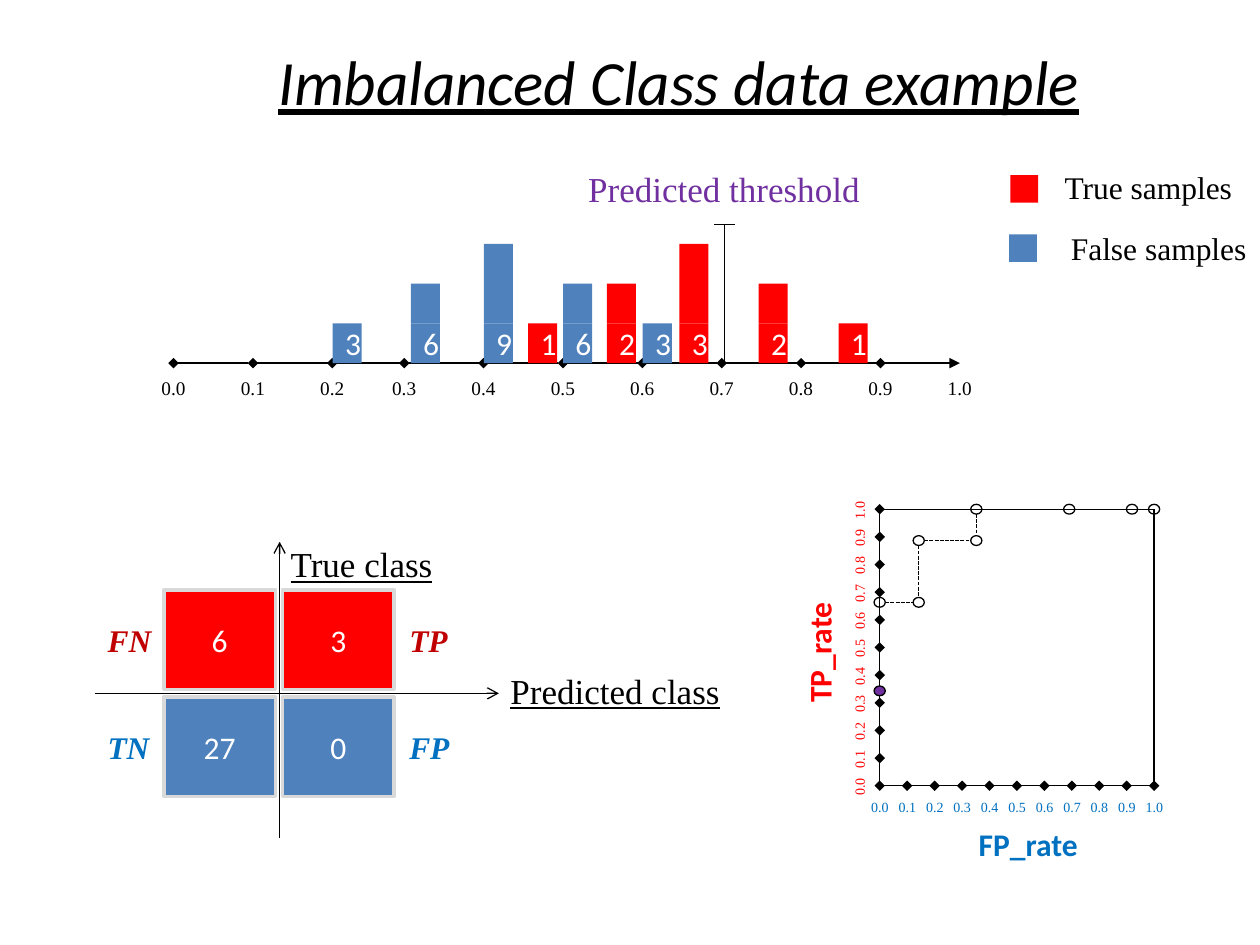
from dataclasses import dataclass
from itertools import pairwise
from typing import Optional

from pptx import Presentation
from pptx.dml.color import RGBColor
from pptx.enum.dml import MSO_LINE
from pptx.enum.shapes import MSO_CONNECTOR, MSO_SHAPE as Preset
from pptx.enum.text import MSO_ANCHOR as Anchor, MSO_AUTO_SIZE as AutoSize, PP_ALIGN as Align
from pptx.oxml import parse_xml
from pptx.oxml.ns import nsdecls
from pptx.util import Pt


@dataclass(frozen=True)
class Theme:
    black: str = "000000"
    white: str = "FFFFFF"
    red: str = "FF0000"
    blue: str = "4F81BD"
    dark_red: str = "C00000"
    deep_blue: str = "0070C0"
    purple: str = "7030A0"
    border: str = "D9D9D9"
    serif: str = "Times New Roman"
    sans: str = "Calibri"
    title: float = 36
    heading: float = 20
    body: float = 18
    axis: float = 11
    small: float = 8
    hairline: float = 0.75


@dataclass(frozen=True)
class Box:
    left: float
    top: float
    width: float
    height: float


@dataclass(frozen=True)
class Style:
    size: float
    color: str
    font: str
    bold: bool = False
    italic: bool = False
    underline: bool = False


@dataclass(frozen=True)
class Bar:
    left: float
    count: str
    units: int
    color: str


THEME = Theme()
TICKS = [f"{i / 10:.1f}" for i in range(11)]
ON_FILL = Style(THEME.body, THEME.white, THEME.sans)
LEGEND = Style(THEME.body, THEME.black, THEME.serif)


def centred(x: float, y: float, width: float, height: float) -> Box:
    return Box(x - width / 2, y - height / 2, width, height)


def in_points(box: Box) -> tuple:
    return Pt(box.left), Pt(box.top), Pt(box.width), Pt(box.height)


def add_span(para, text: str, style: Style) -> None:
    span = para.add_run()
    span.text = text
    font = span.font
    font.size, font.name = Pt(style.size), style.font
    font.bold, font.italic, font.underline = style.bold, style.italic, style.underline
    font.color.rgb = RGBColor.from_string(style.color)


def add_label(page, box: Box, text: str, style: Style, wrap: bool = False,
              rotation: float = 0) -> None:
    label = page.shapes.add_textbox(*in_points(box))
    label.rotation = rotation
    frame = label.text_frame
    frame.word_wrap = wrap
    frame.auto_size = AutoSize.SHAPE_TO_FIT_TEXT
    add_span(frame.paragraphs[0], text, style)


def add_block(page, box: Box, fill: Optional[str], line: Optional[str] = None,
              weight: float = THEME.hairline, text: str = "", preset=Preset.RECTANGLE) -> None:
    block = page.shapes.add_shape(preset, *in_points(box))
    block.shadow.inherit = False
    if fill:
        block.fill.solid()
        block.fill.fore_color.rgb = RGBColor.from_string(fill)
    else:
        block.fill.background()
    if line:
        block.line.color.rgb = RGBColor.from_string(line)
        block.line.width = Pt(weight)
    else:
        block.line.fill.background()
    if text:
        frame = block.text_frame
        frame.word_wrap = True
        frame.vertical_anchor = Anchor.MIDDLE
        frame.paragraphs[0].alignment = Align.CENTER
        add_span(frame.paragraphs[0], text, ON_FILL)


def add_line(page, start: tuple, end: tuple, head: str = "", tail: str = "",
             dashed: bool = False) -> None:
    line = page.shapes.add_connector(MSO_CONNECTOR.STRAIGHT, *map(Pt, start + end))
    line.line.color.rgb = RGBColor.from_string(THEME.black)
    line.line.width = Pt(THEME.hairline)
    if dashed:
        line.line.dash_style = MSO_LINE.SQUARE_DOT
    outline = line.line._get_or_add_ln()
    for tag, kind in (("headEnd", head), ("tailEnd", tail)):
        if kind:
            outline.append(parse_xml(f'<a:{tag} {nsdecls("a")} type="{kind}"/>'))
    line._element.spPr.append(parse_xml(f'<a:effectLst {nsdecls("a")}/>'))


def add_axis(page, stops: list, first_head: str = "diamond", last_tail: str = "diamond") -> None:
    """Chain of segments with a marker at every stop."""
    last = len(stops) - 2
    for i, (start, end) in enumerate(pairwise(stops)):
        add_line(page, start, end, "" if i else first_head,
                 last_tail if i == last else "diamond")


def draw_histogram(page) -> None:
    base, unit, width = 207.5, 22.7, 16.6
    # The scale is 4.3 pt tighter between 0.2 and 0.3
    stops = [(99.2 + 45.36 * i - (4.3 if i > 2 else 0), base) for i in range(11)]
    add_axis(page, stops, last_tail="triangle")
    for (x, _), text in zip(stops, TICKS):
        add_label(page, centred(x, 221.8, 28.1, 20.6), text,
                  Style(THEME.axis, THEME.black, THEME.serif))

    bars = [Bar(190.1, "3", 1, THEME.blue), Bar(234.8, "6", 2, THEME.blue),
            Bar(276.5, "9", 3, THEME.blue), Bar(321.8, "6", 2, THEME.blue),
            Bar(367.3, "3", 1, THEME.blue), Bar(301.8, "1", 1, THEME.red),
            Bar(346.8, "2", 2, THEME.red), Bar(388.3, "3", 3, THEME.red),
            Bar(433.6, "2", 2, THEME.red), Bar(479.2, "1", 1, THEME.red)]
    for bar in bars:
        add_block(page, Box(bar.left, base - unit, width, unit), bar.color, text=bar.count)
        if bar.units > 1:
            add_block(page, Box(bar.left, base - bar.units * unit, width, (bar.units - 1) * unit),
                      bar.color)

    add_line(page, (414, 128.2), (414, base))
    add_line(page, (408.2, 128.2), (419.8, 128.2))
    add_label(page, Box(329, 92.2, 170, 31.5), "Predicted threshold",
              Style(THEME.heading, THEME.purple, THEME.serif), wrap=True)


def draw_legend(page) -> None:
    add_block(page, Box(577.4, 100.1, 15.8, 15.8), THEME.red)
    add_block(page, Box(576.7, 133.9, 15.8, 15.8), THEME.blue)
    add_label(page, Box(601.2, 92.5, 111.6, 29.1), "True samples", LEGEND)
    add_label(page, Box(604.8, 127.4, 115.9, 29.1), "False samples", LEGEND)


def draw_confusion_matrix(page) -> None:
    rows = [(337, THEME.red, THEME.dark_red, ("6", "3"), ("FN", "TP")),
            (398.2, THEME.blue, THEME.deep_blue, ("27", "0"), ("TN", "FP"))]
    for top, fill, ink, counts, names in rows:
        for left, count in zip((93.6, 161.4), counts):
            add_block(page, Box(left, top, 63.8, 56.9), fill, THEME.border, 2, count)
        for left, name in zip((54.4, 226.8), names):
            add_label(page, Box(left, top + 14.2, 44, 29.1), name,
                      Style(THEME.body, ink, THEME.serif, bold=True, italic=True))
    add_line(page, (54, 396.2), (285.1, 396.2), tail="arrow")
    add_line(page, (159.8, 478.8), (159.8, 309.6), tail="arrow")
    heading = Style(THEME.heading, THEME.black, THEME.serif, underline=True)
    add_label(page, Box(159, 306.7, 99.4, 31.5), "True class", heading, wrap=True)
    add_label(page, Box(284.6, 378.9, 137.5, 31.5), "Predicted class", heading, wrap=True)


def draw_roc_plot(page) -> None:
    left, right, top, bottom = 502.7, 659.5, 291, 449
    across = [left + (right - left) * i / 10 for i in range(11)]
    upward = [bottom - (bottom - top) * i / 10 for i in range(11)]
    add_axis(page, [(x, bottom) for x in across])
    add_axis(page, [(left, y) for y in upward], first_head="")
    for x, y, text in zip(across, upward, TICKS):
        add_label(page, centred(x + 0.3, 461.5, 24.5, 17), text,
                  Style(THEME.small, THEME.deep_blue, THEME.serif))
        add_label(page, centred(491.2, y + 0.5, 24.5, 17), text,
                  Style(THEME.small, THEME.red, THEME.serif), rotation=270)
    add_line(page, (left, top), (right, top))
    add_line(page, (right, bottom), (right, top))
    add_label(page, Box(552.2, 468, 72, 29.1), "FP_rate",
              Style(THEME.body, THEME.deep_blue, THEME.sans, bold=True))
    add_label(page, Box(432.3, 358, 72, 29.1), "TP_rate",
              Style(THEME.body, THEME.red, THEME.sans, bold=True), rotation=270)

    width, height = 6.4, 5.6
    curve = [(left, 344.2), (525, 344.2), (525, 308.9), (557.9, 308.9), (557.9, top)]
    for (x1, y1), (x2, y2) in pairwise(curve):
        gap_x = width / 2 if x1 != x2 else 0
        gap_y = height / 2 if y1 != y2 else 0
        add_line(page, (x1 + gap_x, y2 + gap_y), (x2 - gap_x, y1 - gap_y), dashed=True)
    for x, y in curve + [(611, top), (646.9, top), (right, top)]:
        add_block(page, centred(x, y, width, height), None, THEME.black, preset=Preset.OVAL)
    add_block(page, centred(left, 394.8, width, height), THEME.purple, THEME.black,
              preset=Preset.OVAL)


def main() -> None:
    deck = Presentation()
    deck.slide_width, deck.slide_height = Pt(720), Pt(540)
    page = deck.slides.add_slide(deck.slide_layouts[6])
    draw_histogram(page)
    draw_confusion_matrix(page)
    draw_roc_plot(page)
    add_label(page, Box(151.9, 20.9, 476.6, 50.9), "Imbalanced Class data example",
              Style(THEME.title, THEME.black, THEME.sans, italic=True, underline=True))
    draw_legend(page)
    deck.save("out.pptx")


if __name__ == "__main__":
    main()
